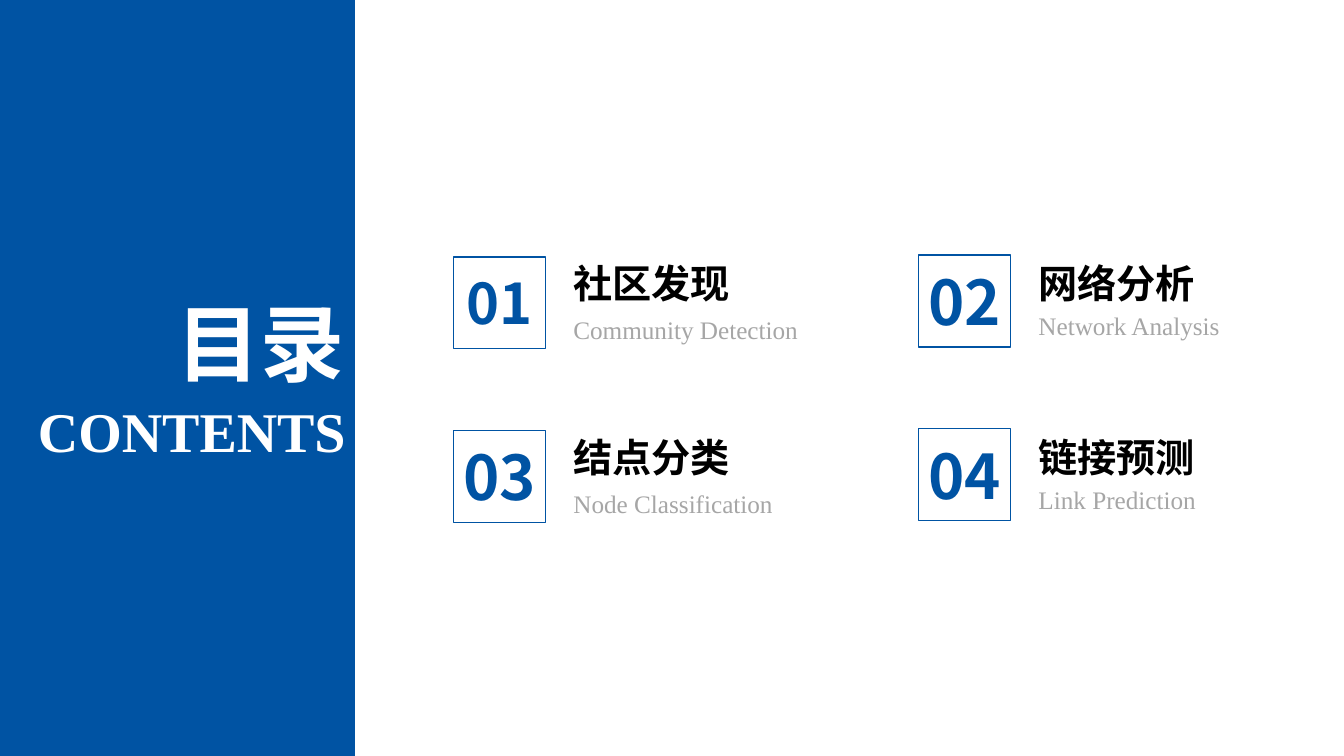
import pptx
import pptx.dml.color
import pptx.enum.shapes
import pptx.enum.text
import pptx.oxml
import pptx.oxml.ns
import pptx.util
import lxml.etree

Pt = pptx.util.Pt
ALIGN = pptx.enum.text.PP_ALIGN


def color(value):
    return pptx.dml.color.RGBColor.from_string(value)


class ContentsSlide:
    """Draws the contents slide in one style, with lengths in points."""

    BLUE, WHITE, BLACK, GRAY = "0053A3", "FFFFFF", "000000", "A6A6A6"
    SANS, SERIF = "Noto Sans CJK SC", "Times New Roman"

    def __init__(self, deck):
        self.slide = deck.slides.add_slide(deck.slide_layouts[5])

    def set_text(self, holder, text, size, font, ink, bold=True, align=ALIGN.LEFT):
        frame = holder.text_frame
        frame.word_wrap = True
        frame.auto_size = pptx.enum.text.MSO_AUTO_SIZE.SHAPE_TO_FIT_TEXT
        frame.vertical_anchor = pptx.enum.text.MSO_ANCHOR.TOP
        paragraph = frame.paragraphs[0]
        paragraph.alignment = align
        run = paragraph.add_run()
        run.text = text
        run.font.size = Pt(size)
        run.font.bold = bold
        run.font.color.rgb = color(ink)
        run.font.name = font
        east_asian = lxml.etree.SubElement(
            run._r.get_or_add_rPr(), pptx.oxml.ns.qn("a:ea"))
        east_asian.set("typeface", font)

    def title(self, text, left, top, width, height):
        heading = self.slide.shapes.title
        heading.left, heading.top = Pt(left), Pt(top)
        heading.width, heading.height = Pt(width), Pt(height)
        self.set_text(heading, text, 60, self.SANS, self.WHITE, align=ALIGN.RIGHT)

    def label(self, shapes, text, left, top, width, height, *style, **options):
        holder = shapes.add_textbox(Pt(left), Pt(top), Pt(width), Pt(height))
        self.set_text(holder, text, *style, **options)

    def rectangle(self, shapes, left, top, width, height, fill=None, line=None):
        box = shapes.add_shape(pptx.enum.shapes.MSO_SHAPE.RECTANGLE,
                               Pt(left), Pt(top), Pt(width), Pt(height))
        box.shadow.inherit = False
        if fill:
            box.fill.solid()
            box.fill.fore_color.rgb = color(fill)
        else:
            box.fill.background()
        if line:
            box.line.color.rgb = color(line)
            box.line.width = Pt(1)
        else:
            box.line.fill.background()
        return box

    def side_panel(self, width, height):
        panel = self.rectangle(self.slide.shapes, 0, 0, width, height, fill=self.BLUE)
        self.slide.shapes.title.element.addprevious(panel.element)

    def entry(self, number, topic, english, left, top, box_drop, english_drop, size):
        shapes = self.slide.shapes.add_group_shape().shapes
        side = 65.7
        box_top = top + box_drop
        number_height = size * 1.2 + 7.5
        self.label(shapes, topic, left + 78.5, top, 188.5, 41,
                   28, self.SANS, self.BLACK)
        self.label(shapes, english, left + 78.5, top + english_drop, 188.5, 29,
                   18, self.SERIF, self.GRAY, bold=False)
        self.label(shapes, number, left - 2.4, box_top + (side - number_height) / 2,
                   70.5, number_height, size, self.SANS, self.BLUE, align=ALIGN.CENTER)
        self.rectangle(shapes, left, box_top, side, side, line=self.BLUE)


def main():
    deck = pptx.Presentation()
    deck.slide_width, deck.slide_height = Pt(960), Pt(540)
    contents = ContentsSlide(deck)
    contents.side_panel(253.5, 540)
    contents.title("目录", 70.5, 204.5, 183, 80)
    contents.label(contents.slide.shapes, "CONTENTS", 0, 280, 254, 55.5,
                   40, contents.SERIF, contents.WHITE, align=ALIGN.RIGHT)

    topics = [
        ("社区发现", "Community Detection", 40),
        ("网络分析", "Network Analysis", 44),
        ("结点分类", "Node Classification", 44),
        ("链接预测", "Link Prediction", 44),
    ]
    column_drops = [(1.5, 39), (0.3, 36.4)]
    for index, (topic, english, size) in enumerate(topics):
        row, column = divmod(index, 2)
        contents.entry(f"{index + 1:02}", topic, english, 324 + 332.2 * column,
                       182 + 124 * row, *column_drops[column], size)
    deck.save("out.pptx")


if __name__ == "__main__":
    main()
